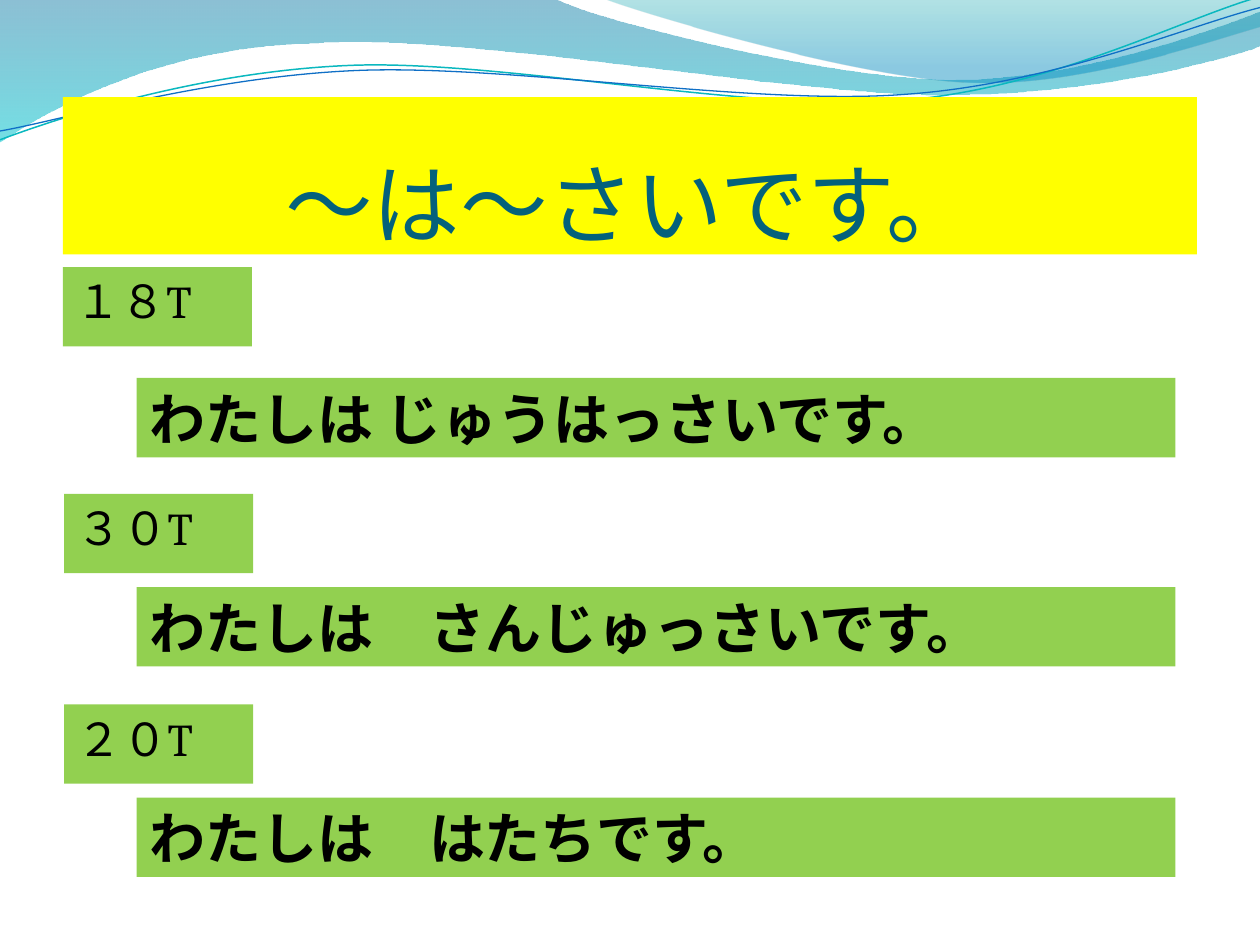
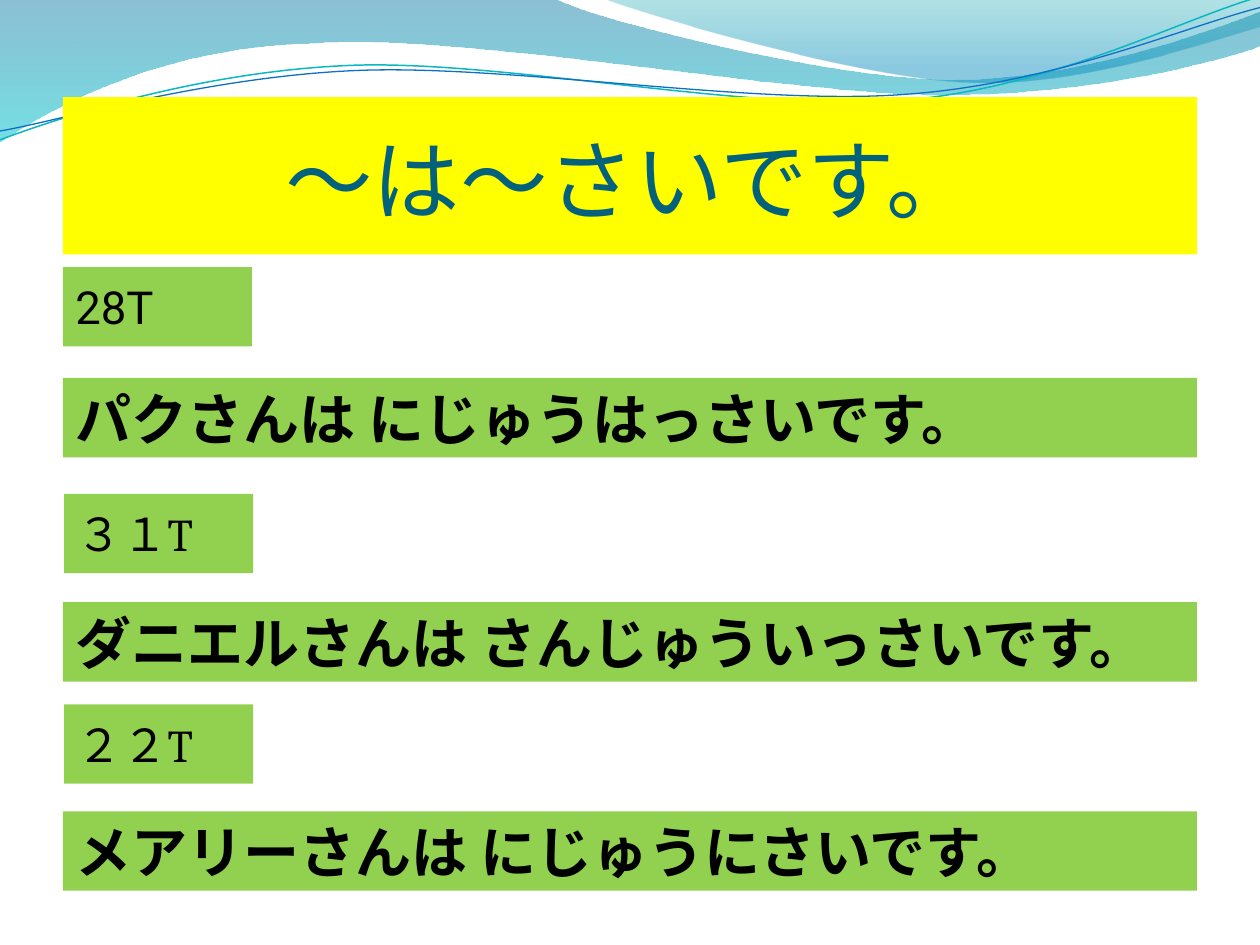
from collections import namedtuple

from lxml import etree
from pptx import Presentation
from pptx.dml.color import RGBColor
from pptx.enum.shapes import MSO_SHAPE
from pptx.enum.text import MSO_ANCHOR, PP_ALIGN
from pptx.oxml.ns import qn
from pptx.util import Inches, Pt

RECTANGLE = MSO_SHAPE.RECTANGLE
TOP, MIDDLE, BOTTOM = MSO_ANCHOR.TOP, MSO_ANCHOR.MIDDLE, MSO_ANCHOR.BOTTOM
LEFT, CENTER = PP_ALIGN.LEFT, PP_ALIGN.CENTER

YELLOW = RGBColor(0xFF, 0xFF, 0x00)
GREEN = RGBColor(0x92, 0xD0, 0x50)
BLACK = RGBColor(0x00, 0x00, 0x00)
TITLE_TEAL = RGBColor(0x04, 0x61, 0x7B)
DEEP_BLUE = RGBColor(0x00, 0x74, 0xA1)
AQUA = RGBColor(0x00, 0xC6, 0xCF)
SEA_GREEN = RGBColor(0x00, 0xA1, 0xA9)
SKY_BLUE = RGBColor(0x00, 0x8B, 0xBF)
LINE_TEAL = RGBColor(0x0A, 0xB8, 0xBF)
LINE_BLUE = RGBColor(0x0F, 0x6F, 0xC6)

TITLE_FONT = "Calibri"
AGE_FONT = "Cambria"
DIGIT_FONT = "Roboto"
JAPANESE_FONT = "Noto Sans CJK JP"

SLIDE_WIDTH, SLIDE_HEIGHT = Inches(10), Inches(7.5)
COLUMNS, ROWS = 100, 75
COLUMN, ROW = SLIDE_WIDTH / COLUMNS, SLIDE_HEIGHT / ROWS
AGE_COLUMNS, BAR_ROWS = 15, 6.3
FIRST_WAVE_ID = 101

Box = namedtuple("Box", "left top width height")
Lettering = namedtuple("Lettering", "font size color bold align space_before")
Band = namedtuple("Band", "start segments stops")
Strand = namedtuple("Strand", "start segments color weight")
Exercise = namedtuple("Exercise", "top height age_shift age answer age_font")

SLIDE_BOX = Box(0, 0, COLUMNS, ROWS)
TITLE_BOX = Box(5, 7.7, 90, 12.5)
TITLE_LETTERING = Lettering(TITLE_FONT, 50, TITLE_TEAL, False, CENTER, 0)
ANSWER_LETTERING = Lettering(JAPANESE_FONT, 32, BLACK, True, LEFT, 20)

BANDS = [
    Band((0, 0), [
        (4.4, -0.01), (4.76, 0.17, 6.64, 0.63, 7.58, 0.63),
        (8.53, 0.63, 9.58, 0.26, 10, 0.09), (10.01, 0.36),
        (9.83, 0.44, 8.7, 0.76, 7.46, 0.75),
        (6.22, 0.75, 3.82, 0.28, 2.57, 0.34),
        (1.29, 0.36, 0.46, 0.83, -0.01, 1.13), (0, 0),
    ], [(0, DEEP_BLUE, 45), (1, AQUA, 55)]),
    Band((4.79, -0.01), [
        (5.09, 0.11, 6.82, 0.62, 7.69, 0.65),
        (8.56, 0.69, 9.61, 0.32, 10, 0.21), (10, 0), (4.79, -0.01),
    ], [(0, SEA_GREEN, 30), (0.8, SKY_BLUE, 45)]),
]
STRANDS = [
    Strand((0, 1.11), [
        (0.48, 0.93, 1.58, 0.57, 2.77, 0.52),
        (3.95, 0.47, 5.93, 0.89, 7.13, 0.8),
        (8.33, 0.71, 9.38, 0.15, 9.98, -0.02),
    ], LINE_TEAL, 0.85),
    Strand((0, 1.04), [
        (0.47, 0.96, 1.64, 0.61, 2.83, 0.56),
        (4.03, 0.51, 5.97, 0.84, 7.17, 0.75),
        (8.36, 0.67, 9.41, 0.21, 10, 0.06),
    ], LINE_BLUE, 0.75),
]


def add_outline(slide, box, wave, close):
    tenth = box.width * COLUMN / 10

    def place(x, y):
        return round(box.left * COLUMN + x * tenth), round(box.top * ROW + y * tenth)

    ends = [place(*segment[-2:]) for segment in wave.segments]
    builder = slide.shapes.build_freeform(*place(*wave.start))
    builder.add_line_segments(ends, close=close)
    outline = builder.convert_to_shape()
    outline.shadow.inherit = False
    straights = list(outline._element.iter(qn("a:lnTo")))
    for straight, segment in zip(straights, wave.segments):
        if len(segment) == 6:
            curve = etree.Element(qn("a:cubicBezTo"))
            for x, y in zip(segment[::2], segment[1::2]):
                left, top = place(x, y)
                etree.SubElement(curve, qn("a:pt"), x=str(left - outline.left),
                                 y=str(top - outline.top))
            straight.getparent().replace(straight, curve)
    return outline


def add_band(slide, box, band):
    outline = add_outline(slide, box, band, True)
    outline.line.fill.background()
    outline.fill.gradient()
    outline.fill.gradient_angle = 270
    for stop, (position, color, _) in zip(outline.fill.gradient_stops, band.stops):
        stop.position = position
        stop.color.rgb = color
    colors = list(outline._element.iter(qn("a:srgbClr")))
    for color, (_, _, opacity) in zip(colors, band.stops):
        etree.SubElement(color, qn("a:alpha"), val=str(opacity * 1000))
    return outline


def add_strand(slide, box, strand):
    outline = add_outline(slide, box, strand, False)
    outline.fill.background()
    outline.line.color.rgb = strand.color
    outline.line.width = Pt(strand.weight)
    return outline


def move_waves_to_master(deck, slide, box):
    waves = [add_band(slide, box, band) for band in BANDS]
    waves += [add_strand(slide, box, strand) for strand in STRANDS]
    for wave_id, wave in enumerate(waves, FIRST_WAVE_ID):
        wave._element.nvSpPr.cNvPr.set("id", str(wave_id))
        deck.slide_master.shapes._spTree.append(wave._element)


def add_bar(slide, box, fill, text, lettering, anchor):
    bar = slide.shapes.add_shape(
        RECTANGLE, round(box.left * COLUMN), round(box.top * ROW),
        round(box.width * COLUMN), round(box.height * ROW))
    bar.shadow.inherit = False
    bar.fill.solid()
    bar.fill.fore_color.rgb = fill
    bar.line.fill.background()
    frame = bar.text_frame
    frame.word_wrap = True
    frame.vertical_anchor = anchor
    frame.text = text
    paragraph = frame.paragraphs[0]
    paragraph.alignment = lettering.align
    if lettering.space_before:
        space = etree.SubElement(paragraph._p.get_or_add_pPr(), qn("a:spcBef"))
        etree.SubElement(space, qn("a:spcPct"), val=str(lettering.space_before * 1000))
    for run in paragraph.runs:
        run.font.name = lettering.font
        run.font.size = Pt(lettering.size)
        run.font.bold = lettering.bold
        run.font.color.rgb = lettering.color
        latin = run._r.rPr.find(qn("a:latin"))
        latin.addnext(etree.Element(qn("a:ea"), typeface=JAPANESE_FONT))
    return frame


def add_title(slide, box, text, anchor):
    frame = add_bar(slide, box, YELLOW, text, TITLE_LETTERING, anchor)
    frame.margin_left = frame.margin_right = frame.margin_bottom = 0


def add_exercise(slide, box, exercise, indent, age_anchor):
    age_box = Box(box.left + exercise.age_shift, box.top, AGE_COLUMNS, BAR_ROWS)
    answer_box = Box(box.left + indent, box.top + box.height - BAR_ROWS,
                     box.width - indent, BAR_ROWS)
    age_lettering = Lettering(exercise.age_font, 26, BLACK, False, LEFT, 20)
    add_bar(slide, age_box, GREEN, exercise.age, age_lettering, age_anchor)
    add_bar(slide, answer_box, GREEN, exercise.answer, ANSWER_LETTERING, MIDDLE)


def fill_age_slide(slide, exercises, width, indent, title_anchor, age_anchor):
    add_title(slide, TITLE_BOX, "～は～さいです。", title_anchor)
    for exercise in exercises:
        box = Box(TITLE_BOX.left, exercise.top, width, exercise.height)
        add_exercise(slide, box, exercise, indent, age_anchor)


def main():
    deck = Presentation()
    deck.slide_width, deck.slide_height = SLIDE_WIDTH, SLIDE_HEIGHT
    my_age, their_ages = [deck.slides.add_slide(deck.slide_layouts[6]) for _ in range(2)]
    move_waves_to_master(deck, my_age, SLIDE_BOX)
    fill_age_slide(my_age, [
        Exercise(21.2, 15.1, 0, "１８T", "わたしは じゅうはっさいです。", AGE_FONT),
        Exercise(39.2, 13.7, 0.1, "３０T", "わたしは　さんじゅっさいです。", AGE_FONT),
        Exercise(55.9, 13.7, 0.1, "２０T", "わたしは　はたちです。", AGE_FONT),
    ], 88.3, 5.85, BOTTOM, TOP)
    fill_age_slide(their_ages, [
        Exercise(21.2, 15.1, 0, "28T", "パクさんは にじゅうはっさいです。", DIGIT_FONT),
        Exercise(39.2, 14.9, 0.1, "３１T", "ダニエルさんは さんじゅういっさいです。", AGE_FONT),
        Exercise(55.9, 14.8, 0.1, "２２T", "メアリーさんは にじゅうにさいです。", AGE_FONT),
    ], TITLE_BOX.width, 0, MIDDLE, MIDDLE)
    deck.save("out.pptx")


if __name__ == "__main__":
    main()
